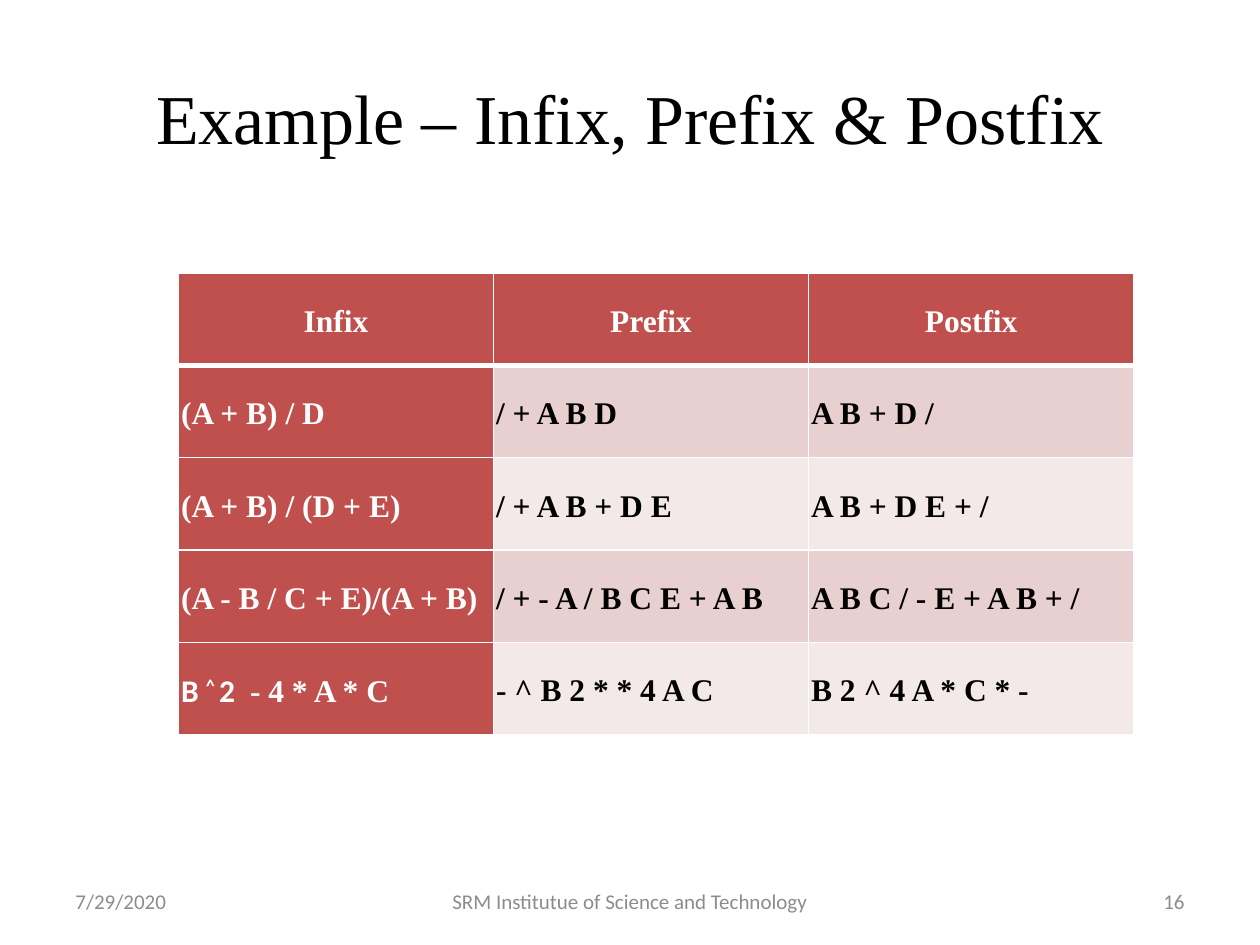
from lxml.etree import SubElement
from pptx import Presentation
from pptx.dml.color import RGBColor
from pptx.enum.text import MSO_ANCHOR, PP_ALIGN
from pptx.oxml.ns import qn
from pptx.util import Pt

WHITE = RGBColor(0xFF, 0xFF, 0xFF)
BLACK = RGBColor(0, 0, 0)
GRAY = RGBColor(0x8C, 0x8C, 0x8C)
RED = RGBColor(0xC0, 0x50, 0x4D)
BANDS = [RGBColor(0xE8, 0xD0, 0xD0), RGBColor(0xF4, 0xE9, 0xE9)]
SERIF, SANS = "Times New Roman", "Calibri"

HEADINGS = ["Infix", "Prefix", "Postfix"]
# The last infix expression is split into (text, font, raised) runs.
POWER_EXPRESSION = [
    ("B ", SANS, False),
    ("^ ", SANS, True),
    ("2 ", SANS, False),
    (" - 4 * A * C", SERIF, False),
]
EXPRESSIONS = [
    ["(A + B) / D", "/ + A B D", "A B + D /"],
    ["(A + B) / (D + E)", "/ + A B + D E", "A B + D E + /"],
    ["(A - B / C + E)/(A + B)", "/ + - A / B C E + A B", "A B C / - E + A B + /"],
    [POWER_EXPRESSION, "- ^ B 2 * * 4 A C", "B 2 ^ 4 A * C * -"],
]


def add_run(paragraph, text, font, size, color, bold=False):
    run = paragraph.add_run()
    run.text = text
    run.font.name = font
    run.font.size = Pt(size)
    run.font.bold = bold
    run.font.color.rgb = color
    return run


def add_line(slide, box, text, font, size, color, align):
    """Place one line of text, vertically centred in box."""
    frame = slide.shapes.add_textbox(*map(Pt, box)).text_frame
    frame.word_wrap = True
    frame.vertical_anchor = MSO_ANCHOR.MIDDLE
    frame.paragraphs[0].alignment = align
    add_run(frame.paragraphs[0], text, font, size, color)


def set_borders(cell, widths):
    """Draw white borders; widths maps each side's tag to points."""
    properties = cell._tc.get_or_add_tcPr()
    for side, width in widths.items():
        border = SubElement(properties, qn(f"a:{side}"), w=str(Pt(width)))
        fill = SubElement(border, qn("a:solidFill"))
        SubElement(fill, qn("a:srgbClr"), val=str(WHITE))


def fill_cell(cell, content, row, column):
    is_key = row == 0 or column == 0
    set_borders(cell, {
        "lnL": 1,
        "lnR": 1,
        "lnT": 3 if row == 1 else 1,
        "lnB": 3 if row == 0 else 1,
    })
    cell.fill.solid()
    cell.fill.fore_color.rgb = RED if is_key else BANDS[(row - 1) % 2]
    cell.vertical_anchor = MSO_ANCHOR.MIDDLE
    cell.margin_left = cell.margin_right = Pt(1.5)
    cell.margin_top = cell.margin_bottom = Pt(1.5)

    paragraph = cell.text_frame.paragraphs[0]
    paragraph.alignment = PP_ALIGN.CENTER if row == 0 else PP_ALIGN.LEFT
    paragraph.line_spacing = 1.15
    pieces = [(content, SERIF, False)] if isinstance(content, str) else content
    for text, font, raised in pieces:
        run = add_run(paragraph, text, font, 18, WHITE if is_key else BLACK, True)
        if raised:
            run.font._element.set("baseline", "30000")


def add_notation_table(slide, box):
    left, top, width, height = box
    rows = [HEADINGS, *EXPRESSIONS]
    table = slide.shapes.add_table(len(rows), len(HEADINGS), *map(Pt, box)).table
    first_widths = 180
    for column, column_width in enumerate(
        [first_widths, first_widths, width - 2 * first_widths]
    ):
        table.columns[column].width = Pt(column_width)
    for row, contents in enumerate(rows):
        table.rows[row].height = Pt(height / len(rows))
        for column, content in enumerate(contents):
            fill_cell(table.cell(row, column), content, row, column)


def add_footer(slide, box):
    left, top, width, height = box
    side, middle = 168, 228
    parts = [
        (left, side, "7/29/2020", PP_ALIGN.LEFT),
        (left + (width - middle) / 2, middle,
         "SRM Institutue of Science and Technology", PP_ALIGN.CENTER),
        (left + width - side, side, "16", PP_ALIGN.RIGHT),
    ]
    for x, part_width, text, align in parts:
        add_line(slide, (x, top, part_width, height), text, SANS, 12, GRAY, align)


def main():
    presentation = Presentation()
    presentation.slide_width, presentation.slide_height = Pt(720), Pt(540)
    slide = presentation.slides.add_slide(presentation.slide_layouts[6])
    add_line(slide, (36, 21.6, 648, 90), "Example – Infix, Prefix & Postfix",
             SERIF, 40, BLACK, PP_ALIGN.CENTER)
    add_notation_table(slide, (102, 156, 546, 264))
    add_footer(slide, (36, 500.5, 648, 28.75))
    presentation.save("out.pptx")


if __name__ == "__main__":
    main()
